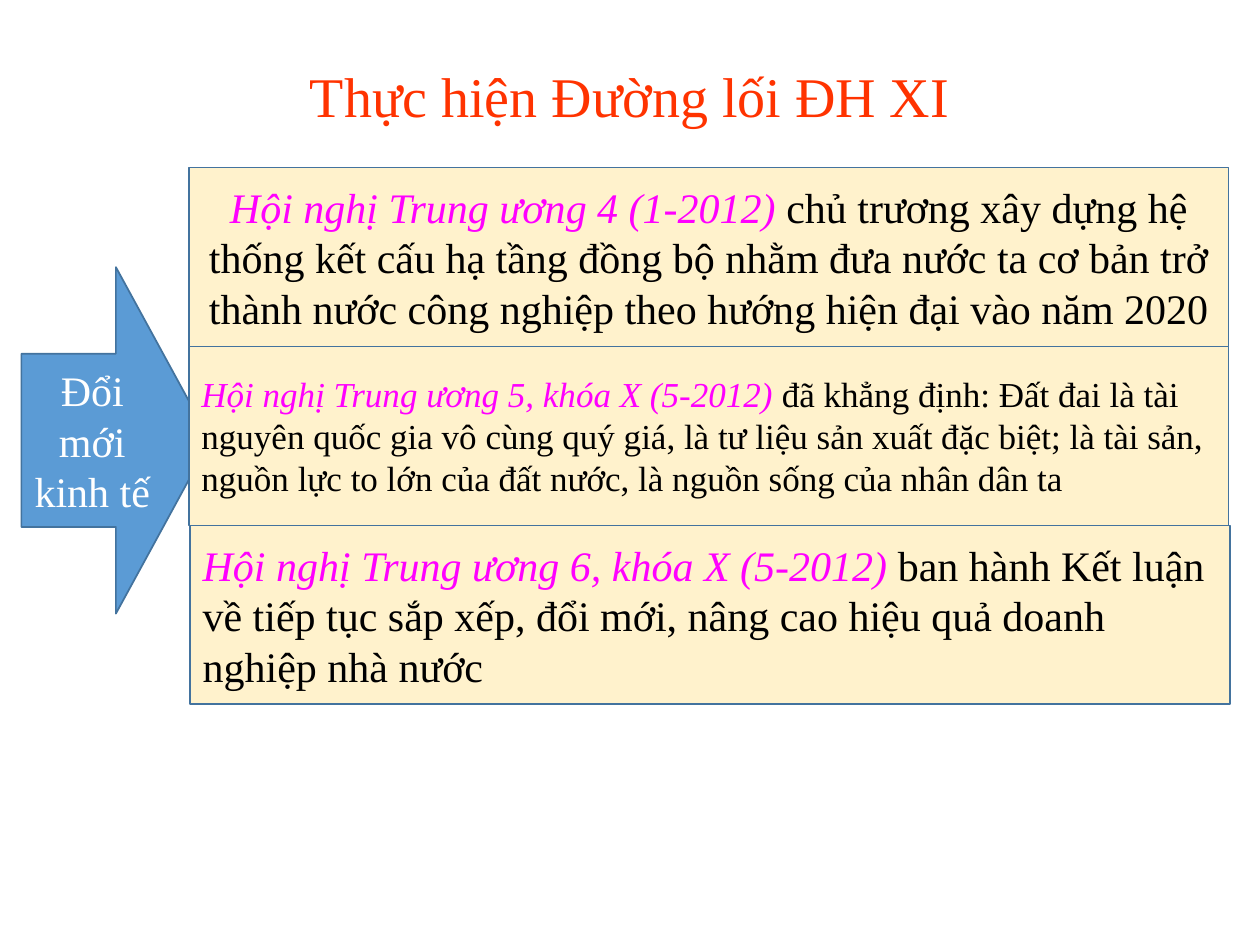
"""Build the slide on carrying out the Eleventh Congress line on economic renewal."""
from pptx import Presentation
from pptx.dml.color import RGBColor
from pptx.enum.shapes import MSO_SHAPE as Preset
from pptx.enum.text import MSO_ANCHOR as Anchor, PP_ALIGN as Align
from pptx.util import Inches, Pt

COLORS = {
    "title": "FF3300",
    "arrow": "5B9BD5",
    "outline": "43739E",
    "panel": "FFF2CC",
    "meeting": "FF00FF",
    "body": "000000",
    "light": "FFFFFF",
}
FONT = "Times New Roman"


def write(frame, runs, size, align):
    frame.word_wrap = True
    frame.vertical_anchor = Anchor.MIDDLE
    paragraph = frame.paragraphs[0]
    paragraph.alignment = align
    for text, color, italic in runs:
        run = paragraph.add_run()
        run.text = text
        run.font.name = FONT
        run.font.size = Pt(size)
        run.font.italic = italic
        run.font.color.rgb = RGBColor.from_string(COLORS[color])
    return paragraph


def add_block(preset, box, fill):
    block = slide.shapes.add_shape(preset, *map(Inches, box))
    block.shadow.inherit = False
    block.fill.solid()
    block.fill.fore_color.rgb = RGBColor.from_string(COLORS[fill])
    block.line.color.rgb = RGBColor.from_string(COLORS["outline"])
    block.line.width = Pt(1)
    return block.text_frame


deck = Presentation()
deck.slide_width, deck.slide_height = Inches(10), Inches(7.5)
slide = deck.slides.add_slide(deck.slide_layouts[6])

heading = slide.shapes.add_textbox(*map(Inches, (0.69, 0.4, 8.62, 0.77)))
heading_line = write(heading.text_frame, [("Thực hiện Đường lối ĐH XI", "title", False)], 32, Align.CENTER)
heading_line.line_spacing = 0.9

renewal = add_block(Preset.RIGHT_ARROW, (0.17, 2.12, 1.5, 2.75), "arrow")
write(renewal, [("Đổi mới kinh tế", "light", False)], 24, Align.CENTER)

meetings = [
    ("Hội nghị Trung ương 4 (1-2012) ",
     "chủ trương xây dựng hệ thống kết cấu hạ tầng đồng bộ nhằm đưa nước ta cơ bản trở "
     "thành nước công nghiệp theo hướng hiện đại vào năm 2020",
     24, Align.CENTER, 1.5),
    ("Hội nghị Trung ương 5, khóa X (5-2012) ",
     "đã khẳng định: Đất đai là tài nguyên quốc gia vô cùng quý giá, là tư liệu sản xuất "
     "đặc biệt; là tài sản, nguồn lực to lớn của đất nước, là nguồn sống của nhân dân ta",
     20, Align.LEFT, 1.5),
    ("Hội nghị Trung ương 6, khóa X (5-2012) ",
     "ban hành Kết luận về tiếp tục sắp xếp, đổi mới, nâng cao hiệu quả doanh nghiệp nhà nước",
     24, Align.LEFT, 1.51),
]
first_top, row_height, panel_width = 1.33, 1.42, 8.25
for row, (meeting, decision, size, align, left) in enumerate(meetings):
    panel = add_block(Preset.RECTANGLE, (left, first_top + row * row_height, panel_width, row_height), "panel")
    write(panel, [(meeting, "meeting", True), (decision, "body", False)], size, align)

deck.save("out.pptx")
